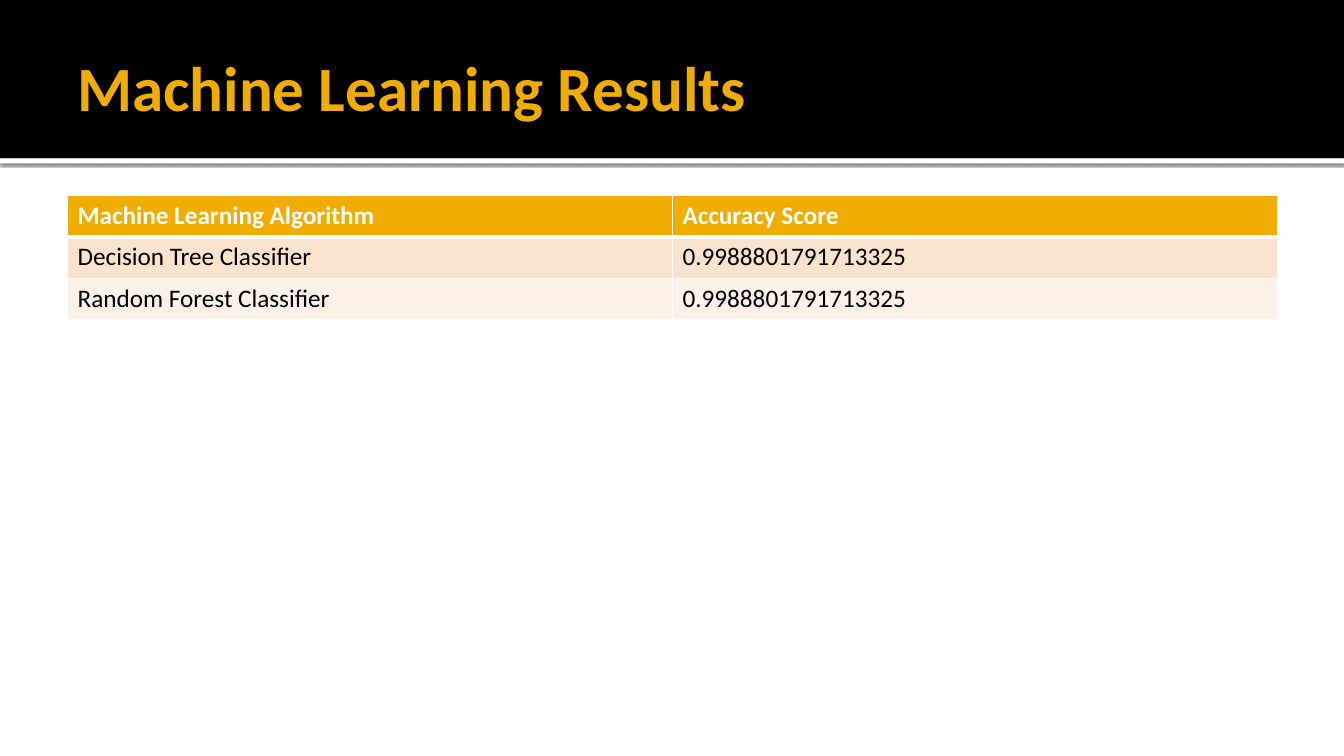
from lxml.etree import SubElement
from pptx import Presentation
from pptx.dml.color import RGBColor
from pptx.enum.shapes import MSO_SHAPE
from pptx.enum.text import MSO_ANCHOR
from pptx.oxml.ns import qn
from pptx.util import Inches, Pt

BLACK = RGBColor(0x00, 0x00, 0x00)
WHITE = RGBColor(0xFF, 0xFF, 0xFF)
GOLD = RGBColor(0xF0, 0xAD, 0x00)
PEACH = RGBColor(0xF9, 0xE3, 0xCC)
CREAM = RGBColor(0xFC, 0xF1, 0xE7)

RESULTS = [
    ("Machine Learning Algorithm", "Accuracy Score"),
    ("Decision Tree Classifier", "0.9988801791713325"),
    ("Random Forest Classifier", "0.9988801791713325"),
]


class SlideBuilder:
    """Draws styled elements on the current slide."""

    font_name = "Calibri"

    def __init__(self, slide):
        self.slide = slide

    def style(self, paragraph, size, color, bold):
        font = paragraph.font
        font.name = self.font_name
        font.size = Pt(size)
        font.bold = bold
        font.color.rgb = color

    def band(self, top, height, color):
        band = self.slide.shapes.add_shape(
            MSO_SHAPE.RECTANGLE, 0, Inches(top), Inches(13.33), Inches(height))
        band.shadow.inherit = False
        band.fill.solid()
        band.fill.fore_color.rgb = color
        band.line.fill.background()
        return band

    def drop_shadow(self, shape, blur, distance, opacity):
        effects = shape._element.spPr.find(qn("a:effectLst"))
        shadow = SubElement(effects, qn("a:outerShdw"), blurRad=str(Pt(blur)),
                            dist=str(Pt(distance)), dir=str(90 * 60000), rotWithShape="0")
        color = SubElement(shadow, qn("a:srgbClr"), val=str(BLACK))
        SubElement(color, qn("a:alpha"), val=str(opacity * 1000))

    def title(self, text):
        box = self.slide.shapes.add_textbox(
            Inches(0.67), Inches(0.17), Inches(12), Inches(1.37))
        frame = box.text_frame
        frame.word_wrap = True
        frame.vertical_anchor = MSO_ANCHOR.MIDDLE
        frame.margin_right = Inches(0.05)
        frame.text = text
        self.style(frame.paragraphs[0], 45, GOLD, True)

    def border(self, cell, side, width):
        line = SubElement(cell._tc.get_or_add_tcPr(), qn(f"a:ln{side}"), w=str(Pt(width)))
        fill = SubElement(line, qn("a:solidFill"))
        SubElement(fill, qn("a:srgbClr"), val=str(WHITE))

    def table(self, rows, row_fills):
        table = self.slide.shapes.add_table(
            len(rows), len(rows[0]), Inches(0.67), Inches(1.94),
            Inches(12), Inches(0.41 * len(rows))).table
        for row_index, (row, fill) in enumerate(zip(rows, row_fills)):
            is_header = row_index == 0
            for column_index, text in enumerate(row):
                cell = table.cell(row_index, column_index)
                cell.text = text
                self.style(cell.text_frame.paragraphs[0], 18,
                           WHITE if is_header else BLACK, is_header)
                widths = {"L": 1, "R": 1, "T": 3 if row_index == 1 else 1,
                          "B": 3 if is_header else 1}
                for side, width in widths.items():
                    self.border(cell, side, width)
                cell.fill.solid()
                cell.fill.fore_color.rgb = fill


def main():
    deck = Presentation()
    deck.slide_width = Inches(13.33)
    deck.slide_height = Inches(7.5)
    builder = SlideBuilder(deck.slides.add_slide(deck.slide_layouts[6]))
    strip = builder.band(1.57, 0.05, WHITE)
    builder.drop_shadow(strip, 2.5, 0.8, 60)
    builder.band(0, 1.57, BLACK)
    builder.title("Machine Learning Results")
    builder.table(RESULTS, [GOLD, PEACH, CREAM])
    deck.save("out.pptx")


if __name__ == "__main__":
    main()
